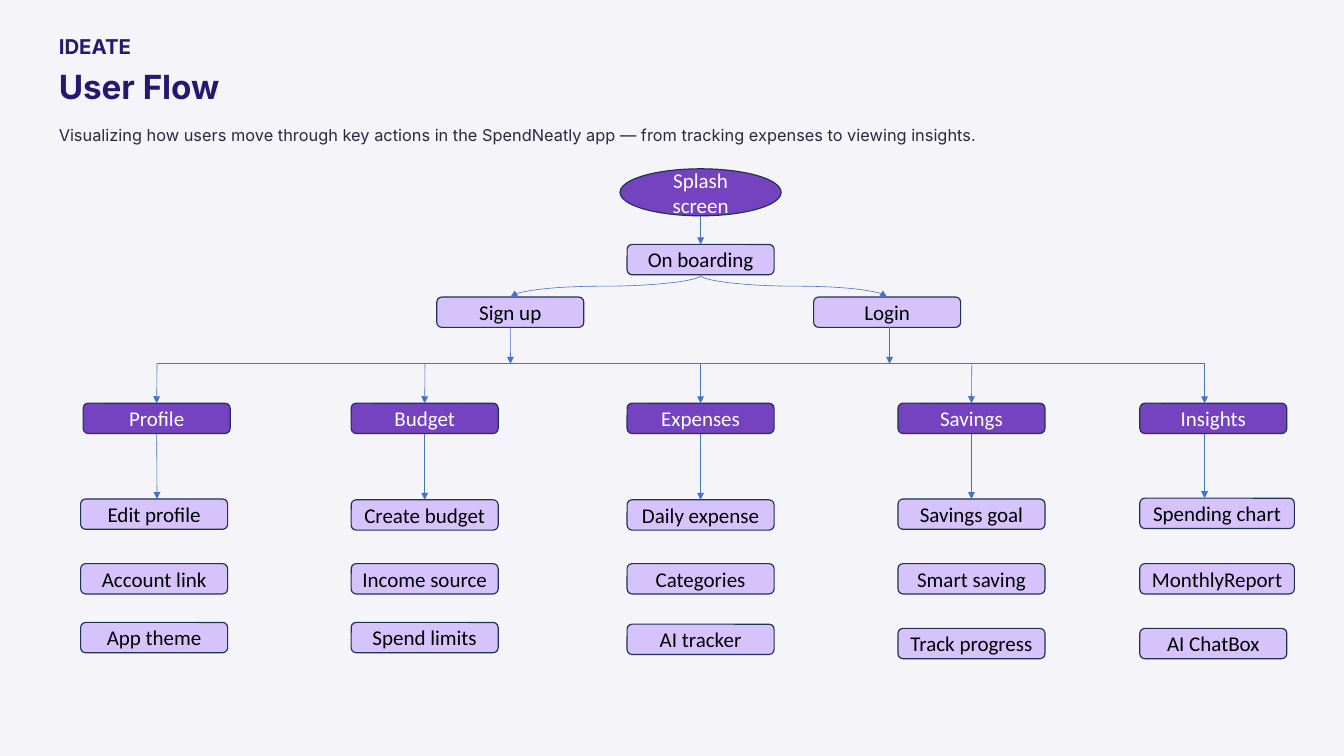
"""Build the User Flow slide: a splash screen branching into five app areas."""
from dataclasses import dataclass

from lxml import etree
from pptx import Presentation
from pptx.dml.color import RGBColor
from pptx.enum.shapes import MSO_CONNECTOR, MSO_SHAPE
from pptx.enum.text import MSO_ANCHOR, MSO_AUTO_SIZE, PP_ALIGN
from pptx.oxml.ns import qn
from pptx.util import Pt

STRAIGHT, CURVE = MSO_CONNECTOR.STRAIGHT, MSO_CONNECTOR.CURVE
ROUNDED, OVAL = MSO_SHAPE.ROUNDED_RECTANGLE, MSO_SHAPE.OVAL
MIDDLE, TOP = MSO_ANCHOR.MIDDLE, MSO_ANCHOR.TOP
CENTER, LEFT = PP_ALIGN.CENTER, PP_ALIGN.LEFT
NO_AUTOFIT = MSO_AUTO_SIZE.NONE
SIDE_TOP, SIDE_BOTTOM = 0, 2


@dataclass(frozen=True)
class Theme:
    background: str = "F5F4F8"
    heading: str = "231971"
    body: str = "2A2742"
    strong: str = "7543C0"
    soft: str = "D6C3FB"
    outline: str = "1E3256"
    arrow: str = "4472C4"
    light_text: str = "FFFFFF"
    dark_text: str = "000000"
    text_font: str = "Inter"
    node_font: str = "Calibri"
    kicker_size: float = 17.5
    title_size: float = 28.5
    intro_size: float = 14
    node_size: float = 18


THEME = Theme()
NODE_WIDTH, NODE_HEIGHT = 126, 26
WIDE_NODE = 132.5
MARGIN = 50.4
TRUNK_X, BUS_Y, HEAD_Y = 600.5, 311.8, 345.6

BRANCHES = [
    ("Profile", 71.3, 134.6, [
        ("Edit profile", 69.1, 427.7, NODE_WIDTH),
        ("Account link", 69.1, 483.1, NODE_WIDTH),
        ("App theme", 69.1, 533.5, NODE_WIDTH)]),
    ("Budget", 301, 364.3, [
        ("Create budget", 301, 428.4, NODE_WIDTH),
        ("Income source", 301, 483.1, NODE_WIDTH),
        ("Spend limits", 301, 533.5, NODE_WIDTH)]),
    ("Expenses", 537.5, TRUNK_X, [
        ("Daily expense", 537.5, 428.4, NODE_WIDTH),
        ("Categories", 537.5, 483.1, NODE_WIDTH),
        ("AI tracker", 537.5, 535, NODE_WIDTH)]),
    ("Savings", 769.7, 833, [
        ("Savings goal", 769.7, 427.7, NODE_WIDTH),
        ("Smart saving", 769.7, 483.1, NODE_WIDTH),
        ("Track progress", 769.7, 538.6, NODE_WIDTH)]),
    ("Insights", 977, 1032.5, [
        ("Spending chart", 977, 427, WIDE_NODE),
        ("MonthlyReport", 977, 483.1, WIDE_NODE),
        ("AI ChatBox", 977, 538.6, NODE_WIDTH)]),
]


def rgb(value):
    """Turn a hex string into a colour."""
    return RGBColor.from_string(value)


def apply(target, values):
    """Set each named attribute on the target."""
    for name, value in values.items():
        setattr(target, name, value)


def write(box, text, frame_format, para_format, font_format, color):
    """Put one formatted paragraph into a box."""
    frame = box.text_frame
    frame.text = text
    apply(frame, frame_format)
    para = frame.paragraphs[0]
    apply(para, para_format)
    span = para.runs[0]
    apply(span.font, font_format)
    span.font.color.rgb = rgb(color)


def add_heading(box, text, top, width, height, spacing, size, color, bold):
    """Place a left-aligned line of heading text."""
    apply(box, {"left": Pt(MARGIN), "top": Pt(top), "width": Pt(width), "height": Pt(height)})
    frame_format = {"word_wrap": False, "auto_size": NO_AUTOFIT, "vertical_anchor": TOP,
                    "margin_left": 0, "margin_right": 0, "margin_top": 0, "margin_bottom": 0}
    write(box, text, frame_format, {"alignment": LEFT, "line_spacing": Pt(spacing)},
          {"name": THEME.text_font, "size": Pt(size), "bold": bold}, color)


def add_node(page, text, left, top, width=NODE_WIDTH, height=NODE_HEIGHT,
             strong=False, outline=ROUNDED):
    """Add one labelled step of the flow."""
    node = page.shapes.add_shape(outline, Pt(left), Pt(top), Pt(width), Pt(height))
    node.shadow.inherit = False
    node.fill.solid()
    node.fill.fore_color.rgb = rgb(THEME.strong if strong else THEME.soft)
    node.line.color.rgb = rgb(THEME.outline)
    node.line.width = Pt(1)
    write(node, text, {"word_wrap": True, "vertical_anchor": MIDDLE}, {"alignment": CENTER},
          {"name": THEME.node_font, "size": Pt(THEME.node_size)},
          THEME.light_text if strong else THEME.dark_text)
    return node


def add_line(page, kind, start, end, arrow=True):
    """Add a thin connector, with an arrowhead unless told otherwise."""
    line = page.shapes.add_connector(kind, *(Pt(value) for value in (*start, *end)))
    line.line.color.rgb = rgb(THEME.arrow)
    line.line.width = Pt(0.5)
    properties = line._element.spPr
    if arrow:
        etree.SubElement(properties.find(qn("a:ln")), qn("a:tailEnd"), type="triangle")
    etree.SubElement(properties, qn("a:effectLst"))
    return line


def is_centered(node, x):
    """Tell whether x falls at the middle of a node."""
    return node is not None and abs(node.left + node.width / 2 - Pt(x)) < Pt(1)


def add_drop(page, x, top, bottom, source=None, target=None):
    """Add a downward arrow, joined to nodes it meets at the middle."""
    line = add_line(page, STRAIGHT, (x, top), (x, bottom))
    if is_centered(source, x):
        line.begin_connect(source, SIDE_BOTTOM)
    if is_centered(target, x):
        line.end_connect(target, SIDE_TOP)


def add_curve(page, start, end):
    """Add an S-shaped arrow that leaves and arrives vertically."""
    span, drop = end[0] - start[0], end[1] - start[1]
    middle_x, middle_y = (start[0] + end[0]) / 2, (start[1] + end[1]) / 2
    side = drop / 2 if span < 0 else -drop / 2
    reach = abs(span) / 2
    line = add_line(page, CURVE, (middle_x - side, middle_y - reach),
                    (middle_x + side, middle_y + reach))
    turn = 90 if span < 0 else 270
    line._element.spPr.find(qn("a:xfrm")).set("rot", str(turn * 60000))


def add_entry(page):
    """Add the splash, onboarding and account steps."""
    add_node(page, "Splash screen", 531.4, 144.7, 138.2, 40.3, True, OVAL)
    boarding = add_node(page, "On boarding", 537.5, 209.5)
    add_drop(page, TRUNK_X, 185, 209.5, target=boarding)
    for text, left, curve_x, drop_x in (("Sign up", 374.4, 437.6, 437.6),
                                        ("Login", 697.4, 760.3, 762.5)):
        node = add_node(page, text, left, 254.6)
        add_curve(page, (TRUNK_X, 236), (curve_x, 254.6))
        add_drop(page, drop_x, 254.6 + NODE_HEIGHT, BUS_Y, source=node)


def add_branch(page, name, left, stem_x, items):
    """Add one app area with its arrows and screens."""
    head = add_node(page, name, left, HEAD_Y, strong=True)
    screens = [add_node(page, *item) for item in items]
    add_drop(page, stem_x, BUS_Y, HEAD_Y, target=head)
    add_drop(page, stem_x, HEAD_Y + NODE_HEIGHT, items[0][2], head, screens[0])


def main():
    """Build and save the deck."""
    deck = Presentation()
    apply(deck, {"slide_width": Pt(1152), "slide_height": Pt(648)})
    page = deck.slides.add_slide(deck.slide_layouts[5])
    page.background.fill.solid()
    page.background.fill.fore_color.rgb = rgb(THEME.background)
    kicker, intro = (page.shapes.add_textbox(0, 0, 0, 0) for _ in range(2))
    add_heading(kicker, "IDEATE", 28.1, 179.3, 22.3, 22, THEME.kicker_size, THEME.heading, True)
    add_heading(page.shapes.title, "User Flow", 55.4, 287.3, 36, 35.5,
                THEME.title_size, THEME.heading, True)
    add_heading(intro, "Visualizing how users move through key actions in the SpendNeatly app "
                "— from tracking expenses to viewing insights.", 101.5, 1051.2, 23, 22.5,
                THEME.intro_size, THEME.body, False)
    add_entry(page)
    add_line(page, STRAIGHT, (BRANCHES[0][2], BUS_Y), (BRANCHES[-1][2], BUS_Y), arrow=False)
    for branch in BRANCHES:
        add_branch(page, *branch)
    deck.save("out.pptx")


if __name__ == "__main__":
    main()
